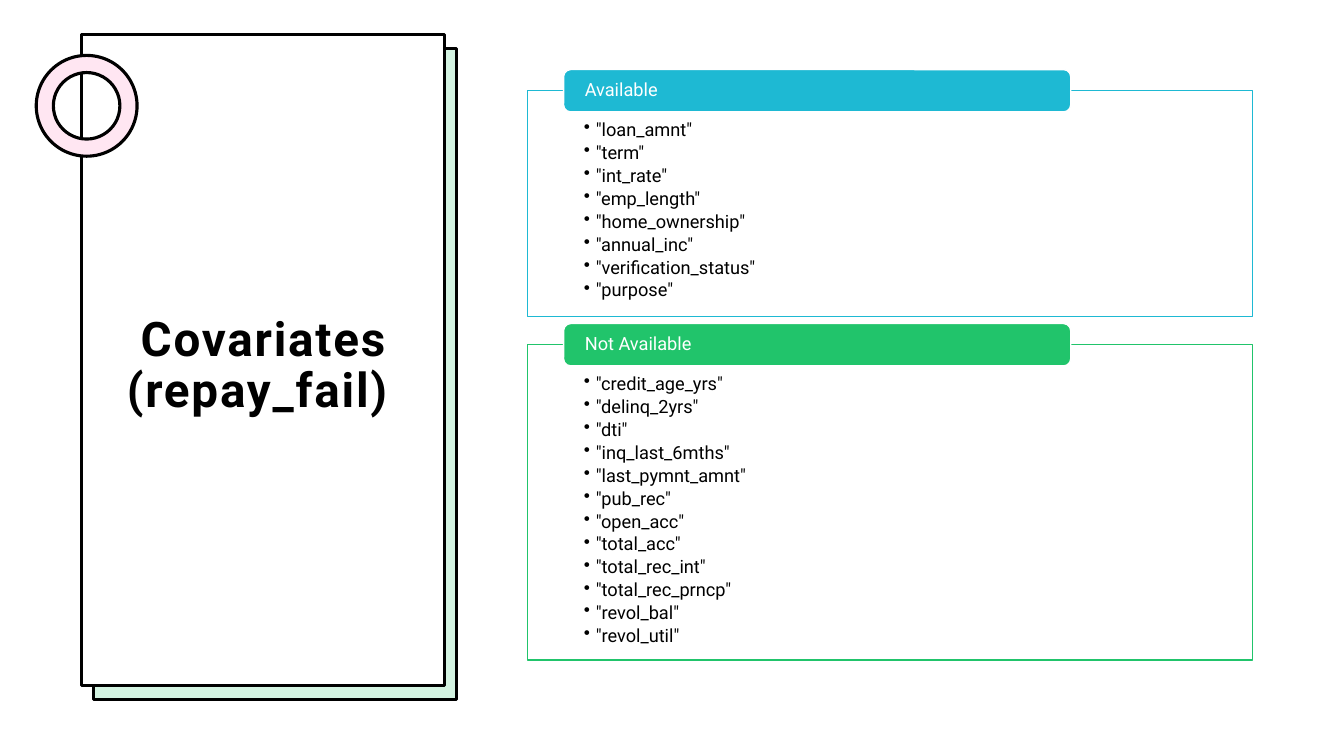
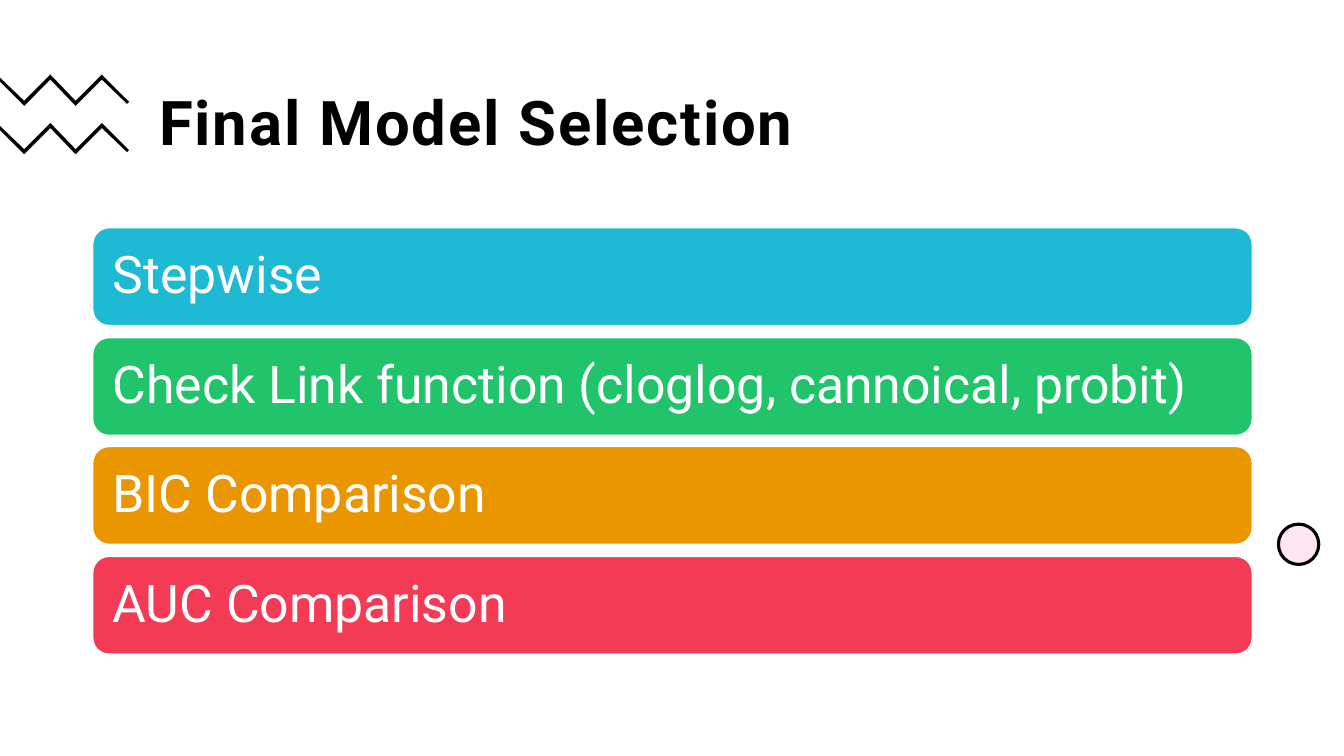
"""Build the covariates and final model selection slides."""
from dataclasses import dataclass
from typing import NamedTuple

from lxml.etree import SubElement
from pptx import Presentation
from pptx.dml.color import RGBColor
from pptx.enum.shapes import MSO_SHAPE as Shape
from pptx.enum.text import MSO_ANCHOR as Anchor, PP_ALIGN as Align
from pptx.oxml.ns import qn
from pptx.util import Pt

EMU_PER_PX = 9144


@dataclass(frozen=True)
class Theme:
    """Colours, font and type sizes shared by the slides."""
    font: str = "Roboto"
    ink: str = "000000"
    paper: str = "FFFFFF"
    mint: str = "D3F3E1"
    pink: str = "FFE6F2"
    cyan: str = "1EB9D3"
    green: str = "21C46B"
    orange: str = "EA9600"
    red: str = "F43B56"
    body: int = 13
    card_title: int = 34
    step: int = 37
    title: int = 44
    outline: float = 2.25
    hairline: float = 1


class Box(NamedTuple):
    """Left, top, width and height in px."""
    x: int
    y: int
    w: int
    h: int


@dataclass(frozen=True)
class Panel:
    """A framed bullet list with a header tab."""
    header: str
    color: str
    top: int
    height: int
    items: tuple[str, ...]


@dataclass(frozen=True)
class Step:
    """A coloured bar naming one step."""
    label: str
    color: str


T = Theme()

PANELS = (
    Panel("Available", T.cyan, 90, 224, (
        "loan_amnt", "term", "int_rate", "emp_length", "home_ownership",
        "annual_inc", "verification_status", "purpose")),
    Panel("Not Available", T.green, 342, 313, (
        "credit_age_yrs", "delinq_2yrs", "dti", "inq_last_6mths",
        "last_pymnt_amnt", "pub_rec", "open_acc", "total_acc",
        "total_rec_int", "total_rec_prncp", "revol_bal", "revol_util")),
)

STEPS = (
    Step("Stepwise", T.cyan),
    Step("Check Link function (cloglog, cannoical, probit)", T.green),
    Step("BIC Comparison ", T.orange),
    Step("AUC Comparison ", T.red),
)

ZIGZAG = (
    (50, 0), (75, 26), (101, 0), (128, 27), (126, 29), (101, 5),
    (75, 31), (50, 5), (24, 31), (0, 7), (0, 3), (24, 26),
)


def px(n: int) -> int:
    """Turn px into EMU."""
    return n * EMU_PER_PX


def add_box(s, kind, box: Box, fill: str, line: str, weight: float):
    """Add a filled and outlined preset shape."""
    sp = s.shapes.add_shape(kind, *map(px, box))
    sp.shadow.inherit = False
    sp.fill.solid()
    sp.fill.fore_color.rgb = RGBColor.from_string(fill)
    sp.line.color.rgb = RGBColor.from_string(line)
    sp.line.width = Pt(weight)
    return sp


def set_frame(tf, insets: tuple[int, int, int, int], anchor=Anchor.MIDDLE) -> None:
    """Set wrapping, anchor and left, top, right, bottom insets."""
    tf.word_wrap = True
    tf.vertical_anchor = anchor
    tf.margin_left, tf.margin_top, tf.margin_right, tf.margin_bottom = map(px, insets)


def style(p, size: int, color: str, align=Align.LEFT, bold: bool = False) -> None:
    """Format a paragraph and its runs."""
    p.alignment = align
    p.line_spacing = 0.9
    for r in p.runs:
        r.font.name = T.font
        r.font.size = Pt(size)
        r.font.bold = bold
        r.font.color.rgb = RGBColor.from_string(color)


def add_bullet(p) -> None:
    """Give a paragraph a hanging bullet."""
    pPr = p._p.get_or_add_pPr()
    pPr.set("marL", str(px(12)))
    pPr.set("indent", str(-px(12)))
    SubElement(pPr, qn("a:buChar"), char="•")


def add_title(s, text: str, box: Box, size: int, align=Align.LEFT) -> None:
    """Add a bold, letter-spaced title."""
    tf = s.shapes.add_textbox(*map(px, box)).text_frame
    set_frame(tf, (12, 12, 12, 10))
    p = tf.paragraphs[0]
    p.text = text
    style(p, size, T.ink, align, bold=True)
    for r in p.runs:
        r.font._element.set("spc", "130")


def add_bar(s, text: str, box: Box, color: str, size: int, inset: int) -> None:
    """Add a rounded bar with a white label."""
    sp = add_box(s, Shape.ROUNDED_RECTANGLE, box, color, T.paper, T.hairline)
    tf = sp.text_frame
    set_frame(tf, (inset, 0, inset, 0))
    tf.text = text
    style(tf.paragraphs[0], size, T.paper)


def add_panel(s, panel: Panel) -> None:
    """Add a bullet list frame and its header tab."""
    box = Box(523, panel.top, 719, panel.height)
    sp = add_box(s, Shape.RECTANGLE, box, T.paper, panel.color, T.hairline)
    tf = sp.text_frame
    set_frame(tf, (56, 30, 56, 10), Anchor.TOP)
    tf.text = "\n".join(f'"{item}"' for item in panel.items)
    for p in tf.paragraphs:
        style(p, T.body, T.ink)
        p.space_after = Pt(2.3)
        add_bullet(p)
    tab = Box(box.x + 36, box.y - 21, 503, 42)
    add_bar(s, panel.header, tab, panel.color, T.body, 19)


def add_zigzag(s, top: int) -> None:
    """Add a zigzag stroke at the left edge."""
    start, *rest = ZIGZAG
    fb = s.shapes.build_freeform(*start, scale=EMU_PER_PX)
    fb.add_line_segments(rest, close=True)
    sp = fb.convert_to_shape(0, px(top))
    sp.shadow.inherit = False
    sp.fill.solid()
    sp.fill.fore_color.rgb = RGBColor.from_string(T.ink)
    sp.line.fill.background()


def build_covariates(s) -> None:
    """Draw the title card and the covariate panels."""
    add_box(s, Shape.RECTANGLE, Box(93, 48, 360, 646), T.mint, T.ink, T.outline)
    add_box(s, Shape.RECTANGLE, Box(81, 34, 360, 646), T.paper, T.ink, T.outline)
    ring = add_box(s, Shape.DONUT, Box(36, 55, 100, 100), T.pink, T.ink, T.outline)
    ring.adjustments[0] = 0.17
    add_title(s, "Covariates\n(repay_fail) ", Box(92, 131, 340, 463),
              T.card_title, Align.CENTER)
    for panel in PANELS:
        add_panel(s, panel)


def build_selection(s) -> None:
    """Draw the title, ornaments and step bars."""
    add_title(s, "Final Model Selection", Box(146, 62, 1066, 123), T.title)
    for top in (74, 122):
        add_zigzag(s, top)
    add_box(s, Shape.OVAL, Box(1268, 520, 40, 40), T.pink, T.ink, T.outline)
    for i, step in enumerate(STEPS):
        box = Box(92, 226 + round(i * 108.67), 1150, 97)
        add_bar(s, step.label, box, step.color, T.step, 15)


def main() -> None:
    """Build and save the presentation."""
    prs = Presentation()
    prs.slide_width, prs.slide_height = px(1333), px(750)
    for build in (build_covariates, build_selection):
        build(prs.slides.add_slide(prs.slide_layouts[6]))
    prs.save("out.pptx")


if __name__ == "__main__":
    main()
